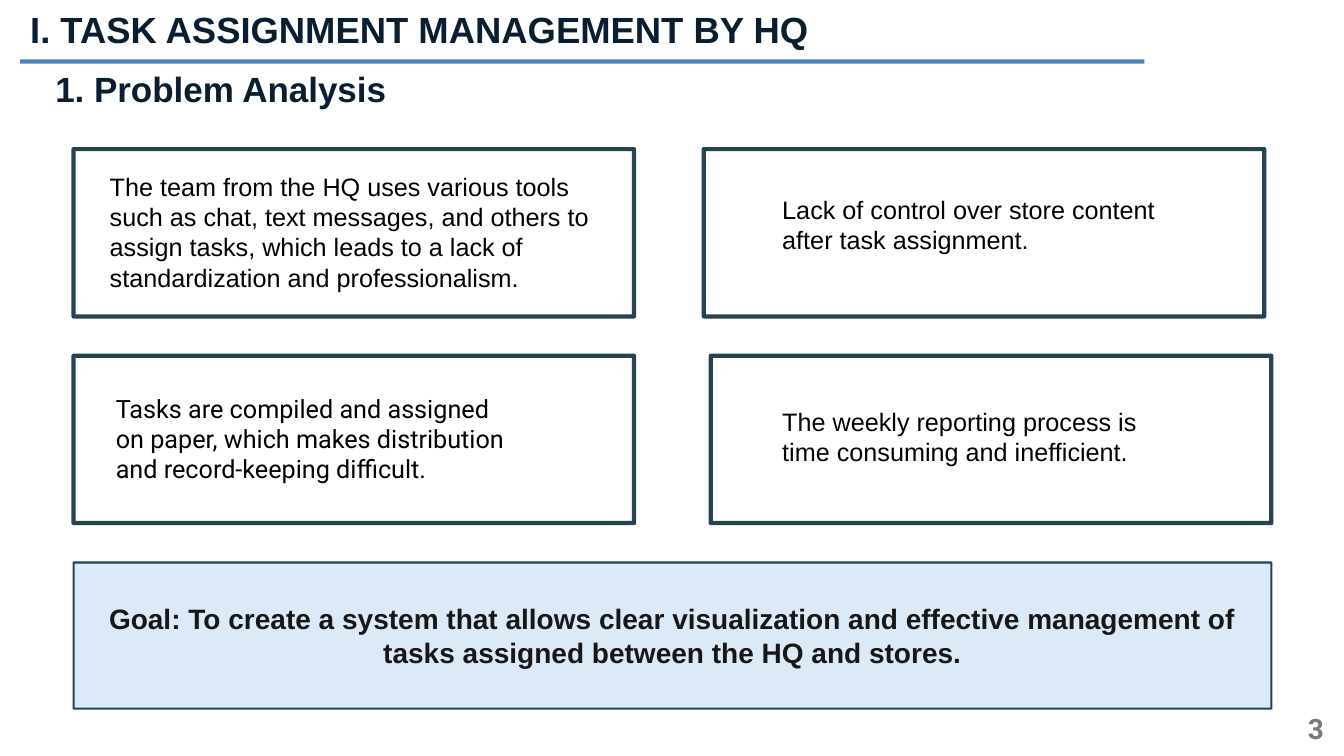
import pptx
import pptx.dml.color
import pptx.enum.shapes
import pptx.enum.text
import pptx.oxml.ns
import pptx.util
import lxml.etree

Inches = pptx.util.Inches
ALIGN = pptx.enum.text.PP_ALIGN
ANCHOR = pptx.enum.text.MSO_ANCHOR
NAVY, EDGE, BLUE = "0B1E31", "092A39", "2366B1"


def paint(target, color):
    target.rgb = pptx.dml.color.RGBColor.from_string(color)


def stroke(line, color, width, opacity):
    """Style a line; opacity is a percentage."""
    line.width = pptx.util.Pt(width)
    line.fill.solid()
    paint(line.fill.fore_color, color)
    tag = pptx.oxml.ns.qn("a:srgbClr")
    for node in line.fill._xPr.iter(tag):
        alpha = lxml.etree.SubElement(node, pptx.oxml.ns.qn("a:alpha"))
        alpha.set("val", str(opacity * 1000))


def write(shape, words, size, color, bold=False, font="Arial",
          align=ALIGN.LEFT, anchor=ANCHOR.TOP):
    frame = shape.text_frame
    frame.word_wrap = True
    frame.auto_size = pptx.enum.text.MSO_AUTO_SIZE.NONE
    frame.vertical_anchor = anchor
    para = frame.paragraphs[0]
    para.alignment = align
    run = para.add_run()
    run.text = words
    run.font.name = font
    run.font.size = pptx.util.Pt(size)
    run.font.bold = bold
    paint(run.font.color, color)


def label(slide, box, words, size, color, **style):
    shape = slide.shapes.add_textbox(*map(Inches, box))
    write(shape, words, size, color, **style)


def panel(slide, box, width, fill=None):
    shape = slide.shapes.add_shape(
        pptx.enum.shapes.MSO_SHAPE.RECTANGLE, *map(Inches, box))
    shape.shadow.inherit = False
    if fill:
        shape.fill.solid()
        paint(shape.fill.fore_color, fill)
    else:
        shape.fill.background()
    stroke(shape.line, EDGE, width, 87)
    return shape


def header(slide, box):
    left, top, width, height = box
    rule = slide.shapes.add_connector(
        pptx.enum.shapes.MSO_CONNECTOR.STRAIGHT,
        Inches(left), Inches(top + 0.59),
        Inches(left + width), Inches(top + 0.59))
    stroke(rule.line, BLUE, 3, 82)
    lxml.etree.SubElement(rule._element.spPr, pptx.oxml.ns.qn("a:effectLst"))
    title = slide.shapes.title
    title.left, title.top = Inches(left), Inches(top)
    title.width, title.height = Inches(8.69), Inches(height)
    write(title, "I. TASK ASSIGNMENT MANAGEMENT BY HQ", 26, NAVY, bold=True)
    label(slide, (left + 0.25, top + 0.6, 7.88, height),
          "1. Problem Analysis", 25, NAVY, bold=True)


def problem(slide, box, inset, words, font="Arial"):
    """Draw a framed problem; inset places its text inside the frame."""
    left, top = box[:2]
    panel(slide, box, 3)
    right, down, width, height = inset
    label(slide, (left + right, top + down, width, height),
          words, 18, "000000", font=font)


def goal(slide, box):
    shape = panel(slide, box, 1.5, "DCEAF7")
    write(shape, "Goal: To create a system that allows clear visualization and "
          "effective management of tasks assigned between the HQ and stores.",
          20, "171717", bold=True, align=ALIGN.CENTER, anchor=ANCHOR.MIDDLE)


def main():
    deck = pptx.Presentation()
    deck.slide_width, deck.slide_height = Inches(13.33), Inches(7.5)
    slide = deck.slides.add_slide(deck.slide_layouts[5])
    header(slide, (0.2, 0.02, 11.15, 0.54))

    wide, high = 5.56, 1.66
    problem(slide, (0.73, 1.48, wide, high), (0.26, 0.17, 5.04, 1.31),
            "The team from the HQ uses various tools such as chat, text "
            "messages, and others to assign tasks, which leads to a lack of "
            "standardization and professionalism.")
    problem(slide, (6.98, 1.48, wide, high), (0.68, 0.4, 4.21, 0.71),
            "Lack of control over store content after task assignment.")
    problem(slide, (0.73, 3.53, wide, high), (0.32, 0.32, 4.21, 1.01),
            "Tasks are compiled and assigned on paper, which makes "
            "distribution and record-keeping difficult.", font="Roboto")
    problem(slide, (7.05, 3.53, wide, high), (0.61, 0.45, 4.21, 0.71),
            "The weekly reporting process is time consuming and inefficient.")

    goal(slide, (0.73, 5.58, 11.88, 1.45))
    label(slide, (10.23, 7.03, 3, 0.4), "3", 20, "797979", bold=True,
          font="Roboto", align=ALIGN.RIGHT, anchor=ANCHOR.MIDDLE)
    deck.save("out.pptx")


if __name__ == "__main__":
    main()
